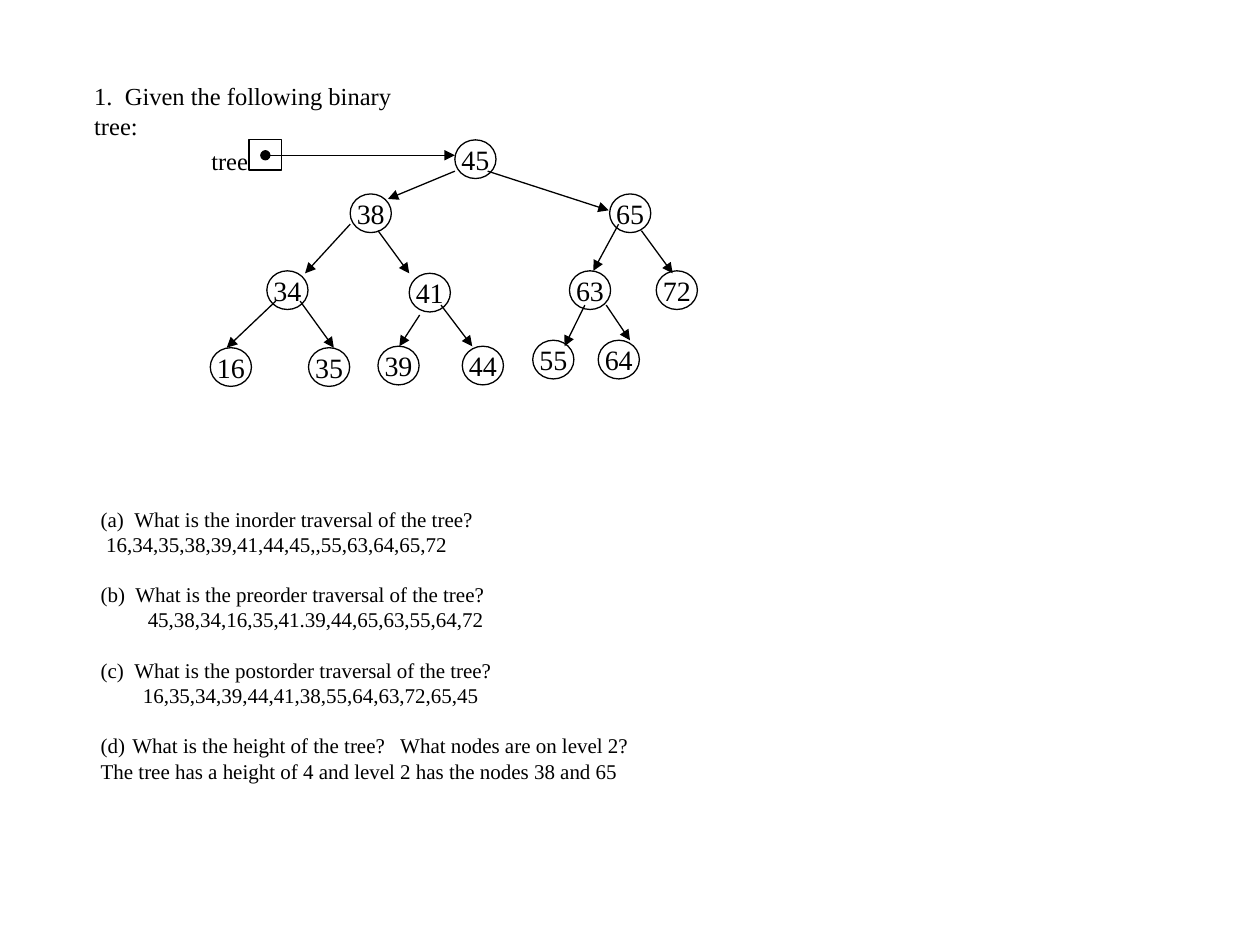
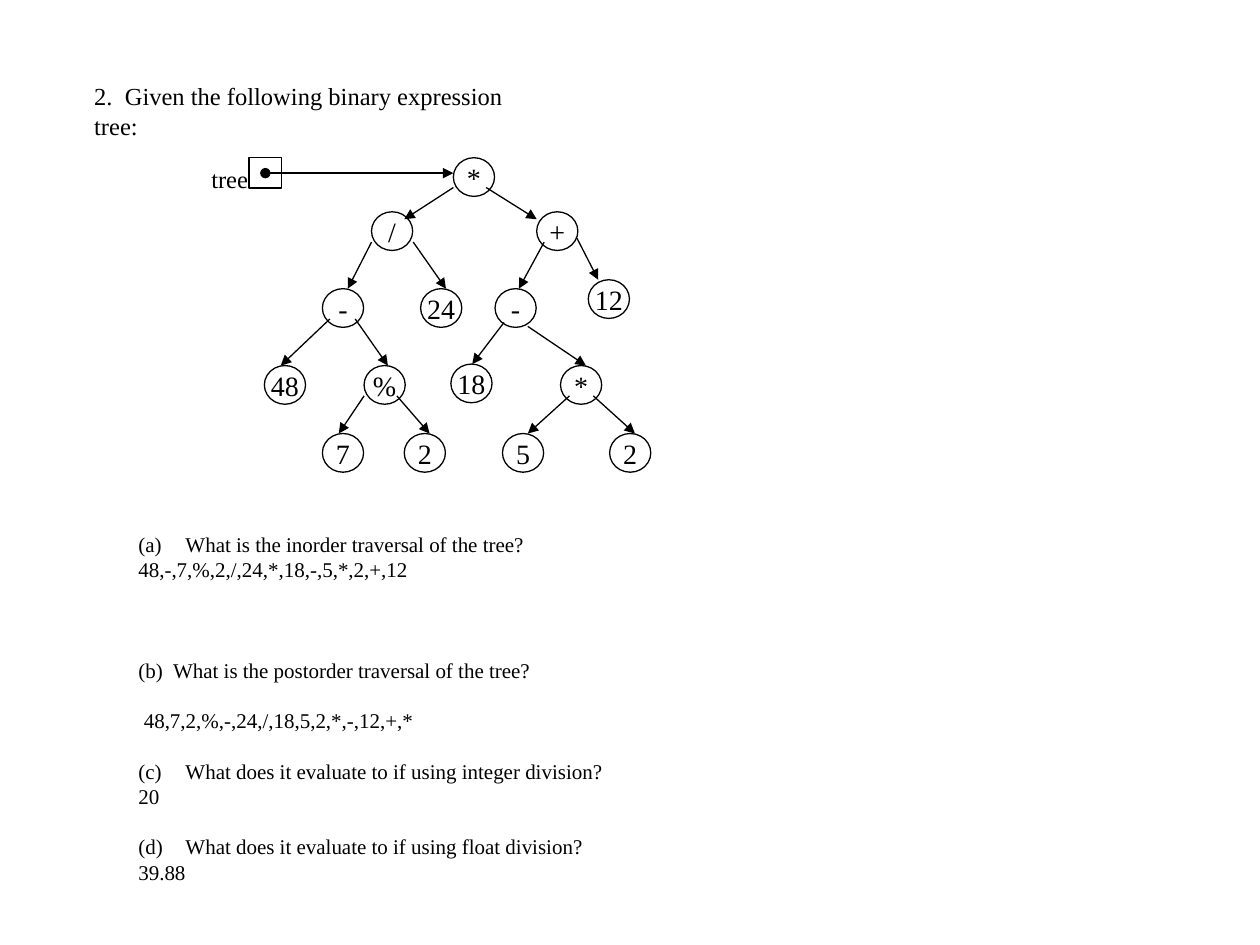
from dataclasses import dataclass
from typing import Optional

from lxml import etree
from pptx import Presentation
from pptx import util as u
from pptx.dml import color
from pptx.enum import shapes, text
from pptx.oxml import ns

COLOURS = {"ink": "000000"}
FONT = "Times New Roman"
NODE_WIDTH, NODE_HEIGHT = 0.83, 0.78
LINE_HEIGHT = 1.2  # line pitch as a multiple of the text size
BODY_SIZE, LABEL_SIZE, NODE_SIZE = 12, 14, 16


@dataclass
class Node:
    """A tree node at left, top (cm), with the arrow that leads to it."""
    label: str
    left: float
    top: float
    arrow: Optional[tuple[float, float, float, float]] = None


@dataclass
class Question:
    """A lettered question and its answer; indents in cm, gaps in lines."""
    wording: str
    answer: str
    hanging: float
    answer_indent: float = 0
    gap: int = 1
    answer_gap: int = 0


@dataclass
class Exercise:
    """One slide: heading, tree (root first) and questions."""
    heading: str
    heading_width: float
    nodes: list[Node]
    questions: list[Question]
    questions_at: tuple[float, float, float, float]


EXERCISES = [
    Exercise(
        "1.  Given the following binary tree:", 7.4,
        [
            Node("45", 9.17, 2.82),
            Node("38", 7.06, 3.91, (9.17, 3.45, 7.82, 4.01)),
            Node("65", 12.29, 3.91, (9.83, 3.45, 12.27, 4.24)),
            Node("34", 5.38, 5.46, (7.06, 4.52, 6.15, 5.51)),
            Node("41", 8.25, 5.51, (7.62, 4.65, 8.25, 5.51)),
            Node("63", 11.48, 5.46, (12.47, 4.52, 11.96, 5.46)),
            Node("72", 13.23, 5.46, (12.93, 4.65, 13.56, 5.51)),
            Node("16", 4.24, 7.01, (5.56, 6.07, 4.57, 7.01)),
            Node("35", 6.22, 7.01, (6.05, 6.07, 6.73, 7.01)),
            Node("39", 7.62, 6.98, (8.46, 6.35, 8.05, 6.98)),
            Node("44", 9.32, 6.98, (8.89, 6.15, 9.52, 6.98)),
            Node("55", 10.74, 6.86, (11.79, 6.15, 11.38, 6.98)),
            Node("64", 12.06, 6.86, (12.22, 6.15, 12.7, 6.86)),
        ],
        [
            Question("What is the inorder traversal of the tree?",
                     "16,34,35,38,39,41,44,45,,55,63,64,65,72", 0.68, 0.11, gap=0),
            Question("What is the preorder traversal of the tree?",
                     "45,38,34,16,35,41.39,44,65,63,55,64,72", 0.7, 0.95),
            Question("What is the postorder traversal of the tree?",
                     "16,35,34,39,44,41,38,55,64,63,72,65,45", 0.68, 0.85),
            Question("What is the height of the tree?   What nodes are on level 2?",
                     "The tree has a height of 4 and level 2 has the nodes 38 and 65",
                     0.64),
        ],
        (1.78, 10.08, 14.22, 6.4),
    ),
    Exercise(
        "2.  Given the following binary expression tree:", 9.6,
        [
            Node("*", 9.14, 3.18),
            Node("/", 7.49, 4.27, (9.14, 3.78, 8.15, 4.42)),
            Node("+", 10.82, 4.27, (9.8, 3.78, 10.82, 4.42)),
            Node("-", 6.5, 5.82, (7.49, 4.88, 7.01, 5.82)),
            Node("24", 8.48, 5.82, (8.33, 4.88, 8.99, 5.82)),
            Node("-", 9.98, 5.82, (10.97, 4.88, 10.46, 5.82)),
            Node("12", 11.86, 5.64, (11.63, 4.8, 12.06, 5.64)),
            Node("48", 5.33, 7.37, (6.65, 6.43, 5.66, 7.37)),
            Node("%", 7.34, 7.37, (7.16, 6.43, 7.82, 7.37)),
            Node("18", 9.09, 7.34, (10.16, 6.5, 9.52, 7.34)),
            Node("*", 11.3, 7.37, (10.64, 6.58, 11.81, 7.37)),
            Node("7", 6.5, 8.74, (7.34, 7.98, 6.83, 8.74)),
            Node("2", 8.15, 8.74, (8, 7.98, 8.66, 8.74)),
            Node("5", 10.13, 8.74, (11.48, 7.98, 10.64, 8.74)),
            Node("2", 12.29, 8.74, (11.96, 7.98, 12.8, 8.74)),
        ],
        [
            Question("What is the inorder traversal of the tree?",
                     "48,-,7,%,2,/,24,*,18,-,5,*,2,+,12", 0.95, gap=0),
            Question("What is the postorder traversal of the tree?",
                     "48,7,2,%,-,24,/,18,5,2,*,-,12,+,*", 0.7, 0.11,
                     gap=3, answer_gap=1),
            Question("What does it evaluate to if using integer division?",
                     "20", 0.95),
            Question("What does it evaluate to if using float division?",
                     "39.88", 0.95),
        ],
        (2.54, 10.59, 10, 8.46),
    ),
]


def ink() -> color.RGBColor:
    """Return the colour of all text and lines."""
    return color.RGBColor.from_string(COLOURS["ink"])


def add_span(para, wording: str, size: float) -> None:
    """Add one run in the shared font."""
    span = para.add_run()
    span.text = wording
    span.font.name = FONT
    span.font.size = u.Pt(size)
    span.font.color.rgb = ink()


def add_text_box(page, left: float, top: float, width: float, height: float):
    """Add a wrapping text box and return its text frame."""
    box = page.shapes.add_textbox(u.Cm(left), u.Cm(top), u.Cm(width), u.Cm(height))
    box.text_frame.word_wrap = True
    return box.text_frame


def add_outline(page, kind, left: float, top: float, width: float, height: float):
    """Add an unfilled shape with a thin line."""
    shape = page.shapes.add_shape(kind, u.Cm(left), u.Cm(top), u.Cm(width), u.Cm(height))
    shape.shadow.inherit = False
    shape.fill.background()
    shape.line.color.rgb = ink()
    shape.line.width = u.Pt(0.75)
    return shape


def add_arrow(page, x1: float, y1: float, x2: float, y2: float,
              dotted_start: bool = False) -> None:
    """Draw an arrow, with a round dot at its start if asked."""
    arrow = page.shapes.add_connector(
        shapes.MSO_CONNECTOR.STRAIGHT, u.Cm(x1), u.Cm(y1), u.Cm(x2), u.Cm(y2))
    arrow.line.color.rgb = ink()
    arrow.line.width = u.Pt(0.75)
    outline = arrow.line._get_or_add_ln()
    if dotted_start:
        etree.SubElement(outline, ns.qn("a:headEnd"), type="oval")
    etree.SubElement(outline, ns.qn("a:tailEnd"), type="triangle")
    etree.SubElement(arrow._element.spPr, ns.qn("a:effectLst"))


def add_node(page, node: Node) -> None:
    """Draw a circled label and the arrow from its parent."""
    circle = add_outline(page, shapes.MSO_SHAPE.OVAL, node.left, node.top,
                         NODE_WIDTH, NODE_HEIGHT)
    frame = circle.text_frame
    frame.word_wrap = False
    frame.vertical_anchor = text.MSO_ANCHOR.MIDDLE
    para = frame.paragraphs[0]
    para.alignment = text.PP_ALIGN.CENTER
    add_span(para, node.label, NODE_SIZE)
    if node.arrow:
        add_arrow(page, *node.arrow)


def add_root_pointer(page, root: Node) -> None:
    """Draw the labelled pointer box and its arrow to the root."""
    add_outline(page, shapes.MSO_SHAPE.RECTANGLE, 5.02, root.top, 0.66, 0.61)
    frame = add_text_box(page, 4.01, root.top, 1.5, 0.84)
    add_span(frame.paragraphs[0], "tree", LABEL_SIZE)
    middle = root.top + 0.31
    add_arrow(page, 5.35, middle, root.left, middle, dotted_start=True)


def set_paragraph(para, left: float, hanging: float, gap: int) -> None:
    """Set indents (cm), line pitch and the gap above (lines)."""
    pitch = BODY_SIZE * LINE_HEIGHT
    para.line_spacing = u.Pt(pitch)
    para.space_before = u.Pt(pitch * gap)
    properties = para._p.get_or_add_pPr()
    properties.set("marL", str(u.Cm(left)))
    properties.set("indent", str(-u.Cm(hanging)))


def add_questions(page, exercise: Exercise) -> None:
    """Write the lettered questions, each followed by its answer."""
    frame = add_text_box(page, *exercise.questions_at)
    for number, question in enumerate(exercise.questions, start=1):
        para = frame.paragraphs[0] if number == 1 else frame.add_paragraph()
        set_paragraph(para, question.hanging, question.hanging, question.gap)
        etree.SubElement(para._p.get_or_add_pPr(), ns.qn("a:buAutoNum"),
                         type="alphaLcParenBoth", startAt=str(number))
        add_span(para, question.wording, BODY_SIZE)
        reply = frame.add_paragraph()
        set_paragraph(reply, question.answer_indent, 0, question.answer_gap)
        add_span(reply, question.answer, BODY_SIZE)


def add_exercise(deck, exercise: Exercise) -> None:
    """Build one slide."""
    page = deck.slides.add_slide(deck.slide_layouts[6])
    heading = add_text_box(page, 1.65, 1.5, exercise.heading_width, 0.84).paragraphs[0]
    heading.line_spacing = u.Pt(17)
    add_span(heading, exercise.heading, LABEL_SIZE)
    add_questions(page, exercise)
    for node in exercise.nodes:
        add_node(page, node)
    add_root_pointer(page, exercise.nodes[0])


def main() -> None:
    """Build and save the deck."""
    deck = Presentation()
    deck.slide_width, deck.slide_height = u.Cm(25.4), u.Cm(19.05)
    for exercise in EXERCISES:
        add_exercise(deck, exercise)
    deck.save("out.pptx")


main()
